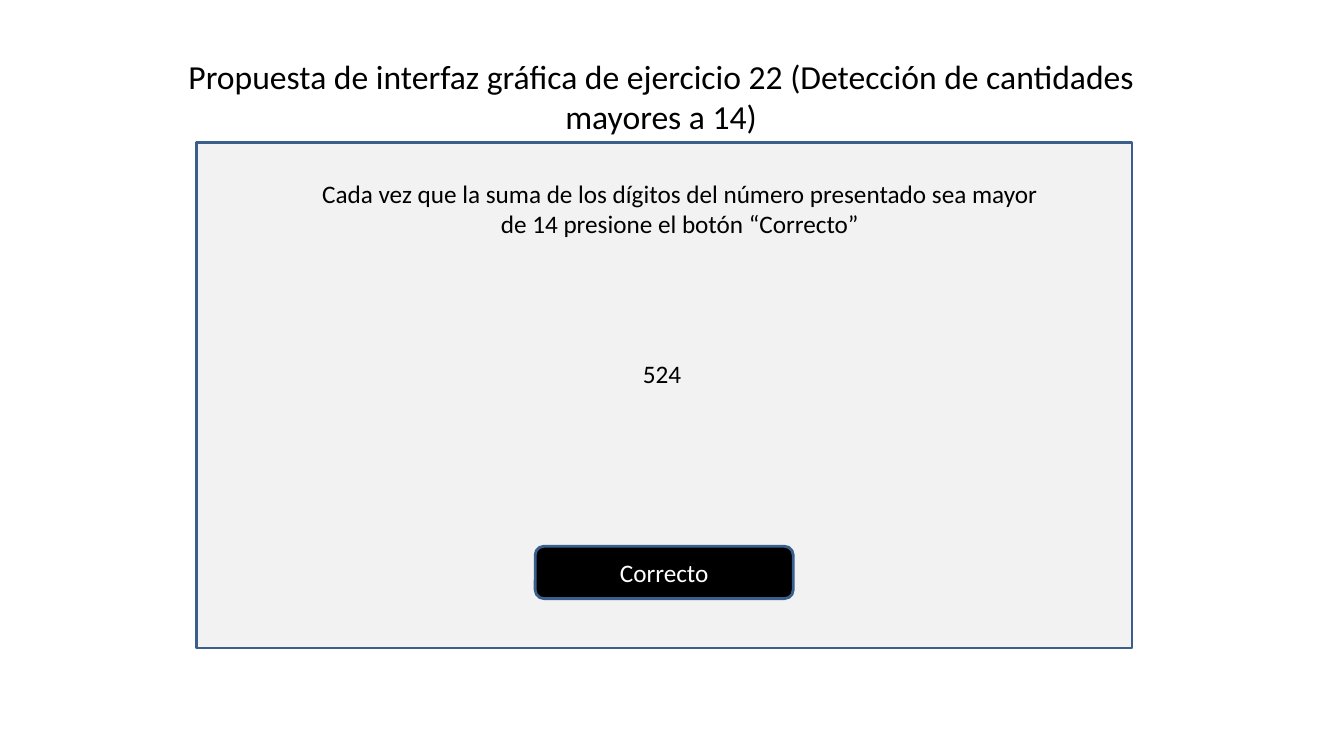
from pptx import Presentation
from pptx.dml.color import RGBColor
from pptx.enum.shapes import MSO_SHAPE as Shape
from pptx.enum.text import MSO_ANCHOR as Anchor, MSO_AUTO_SIZE as AutoSize, PP_ALIGN as Align
from pptx.util import Pt

COLORS = {
    "panel": "F2F2F2",
    "border": "3A5F8C",
    "dark": "000000",
    "light": "FFFFFF",
}
FONT = "Calibri"
TITLE_ONLY = 5


def color(name):
    return RGBColor.from_string(COLORS[name])


def write(box, text, size=18, ink="dark", align=Align.CENTER, anchor=Anchor.TOP):
    frame = box.text_frame
    frame.text = text
    frame.word_wrap = True
    frame.auto_size = AutoSize.NONE
    frame.vertical_anchor = anchor
    para = frame.paragraphs[0]
    para.alignment = align
    span = para.runs[0]
    span.font.name = FONT
    span.font.size = Pt(size)
    span.font.color.rgb = color(ink)


def add_title(page, text, left, top, width, height):
    title = page.shapes.title
    title.left, title.top = Pt(left), Pt(top)
    title.width, title.height = Pt(width), Pt(height)
    write(title, text, size=24)


def add_text(page, text, left, top, width, height, align=Align.CENTER):
    box = page.shapes.add_textbox(Pt(left), Pt(top), Pt(width), Pt(height))
    write(box, text, align=align)


def add_block(page, kind, fill, left, top, width, height):
    block = page.shapes.add_shape(kind, Pt(left), Pt(top), Pt(width), Pt(height))
    block.shadow.inherit = False
    block.fill.solid()
    block.fill.fore_color.rgb = color(fill)
    block.line.color.rgb = color("border")
    block.line.width = Pt(2)
    return block


def main():
    deck = Presentation()
    deck.slide_width, deck.slide_height = Pt(960), Pt(540)
    page = deck.slides.add_slide(deck.slide_layouts[TITLE_ONLY])

    # Heading
    add_title(
        page,
        "Propuesta de interfaz gráfica de ejercicio 22 "
        "(Detección de cantidades mayores a 14)",
        120.2, 36, 704.2, 64.8,
    )

    # Exercise screen with its instruction and number
    add_block(page, Shape.RECTANGLE, "panel", 140.4, 101.5, 668.2, 361.4)
    add_text(
        page,
        "Cada vez que la suma de los dígitos del número presentado "
        "sea mayor de 14 presione el botón “Correcto”",
        218.9, 123.8, 533.5, 72,
    )
    add_text(page, "524", 452.2, 252.7, 177.8, 28.8, align=Align.LEFT)

    # Answer button
    button = add_block(page, Shape.ROUNDED_RECTANGLE, "dark", 382.3, 390.2, 184.3, 37.4)
    write(button, "Correcto", ink="light", anchor=Anchor.MIDDLE)

    deck.save("out.pptx")


main()
